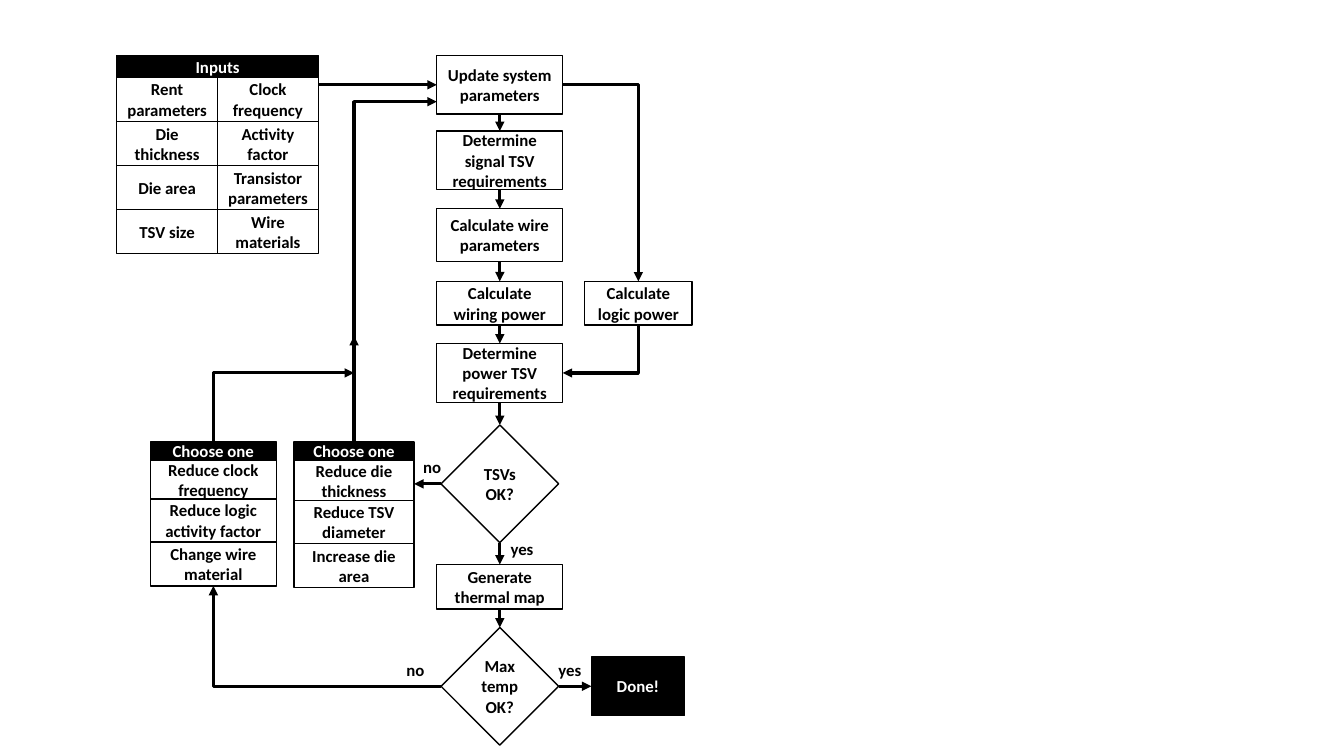
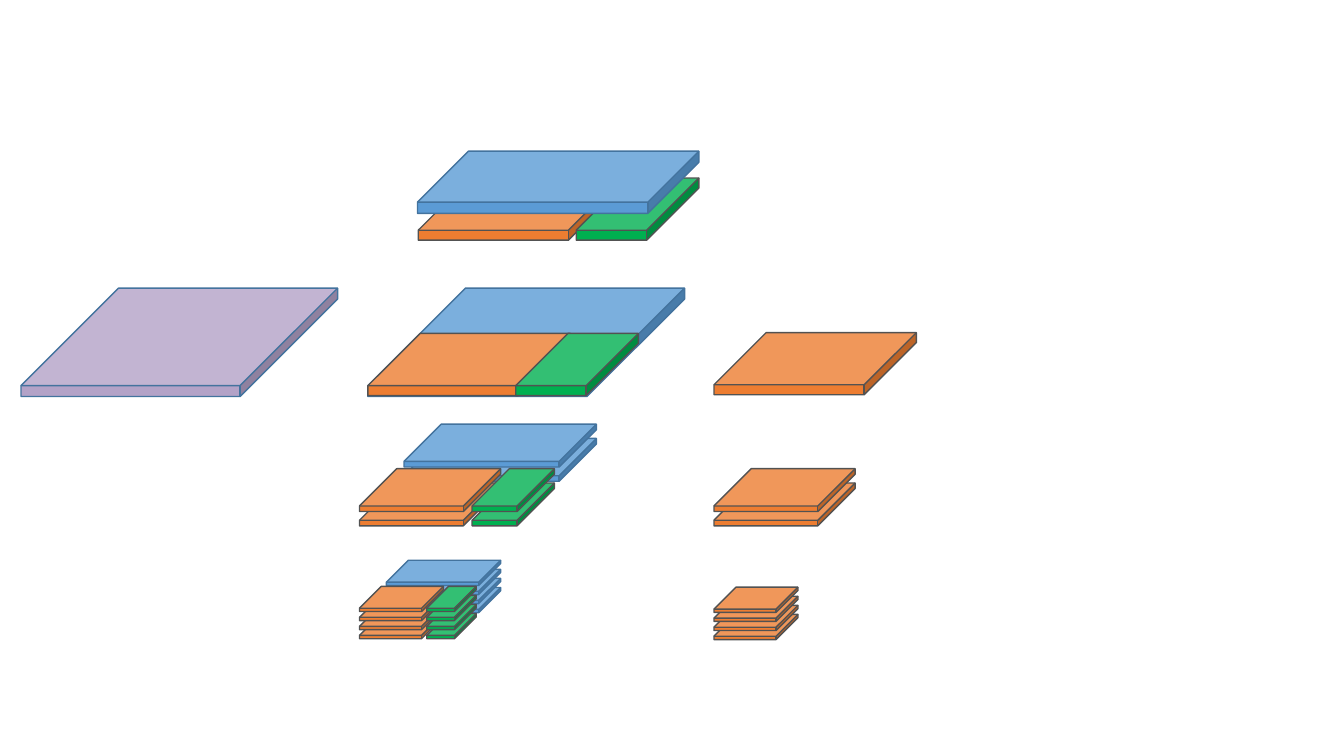
from itertools import pairwise
from lxml.etree import SubElement
from pptx import Presentation
from pptx.dml.color import RGBColor
from pptx.enum.shapes import MSO_CONNECTOR as CONN, MSO_SHAPE as SHAPE
from pptx.enum.text import MSO_ANCHOR as ANCHOR, MSO_AUTO_SIZE as FIT, PP_ALIGN as ALIGN
from pptx.oxml.ns import qn
from pptx.util import Inches, Pt

BLACK = RGBColor(0x00, 0x00, 0x00)
WHITE = RGBColor(0xFF, 0xFF, 0xFF)
PURPLE = RGBColor(0xB3, 0xA2, 0xC7)
BLUE = RGBColor(0x5B, 0x9B, 0xD5)
ORANGE = RGBColor(0xED, 0x7D, 0x31)
GREEN = RGBColor(0x00, 0xB0, 0x50)
NAVY = RGBColor(0x43, 0x73, 0x9E)
GRAY = RGBColor(0x52, 0x52, 0x52)
EDGES = {PURPLE: NAVY, BLUE: NAVY, ORANGE: GRAY, GREEN: GRAY}

prs = Presentation()
prs.slide_width, prs.slide_height = Inches(13.33), Inches(7.5)
COL, ROW = prs.slide_width / 160, prs.slide_height / 90
blank = prs.slide_layouts[6]


def add_block(s, kind, x, y, w, h, line, fill=None, text=""):
    sp = s.shapes.add_shape(kind, int(x * COL), int(y * ROW), int(w * COL), int(h * ROW))
    sp.shadow.inherit = False
    sp.line.color.rgb = line
    sp.line.width = Pt(1)
    if fill is None:
        sp.fill.background()
    else:
        sp.fill.solid()
        sp.fill.fore_color.rgb = fill
    if text:
        tf = sp.text_frame
        tf.text = text
        tf.word_wrap = True
        tf.vertical_anchor = ANCHOR.MIDDLE
        p = tf.paragraphs[0]
        p.alignment = ALIGN.CENTER
        font = p.runs[0].font
        font.name, font.size, font.bold = "Calibri", Pt(12), True
        font.color.rgb = BLACK if fill is None else WHITE
    return sp


def add_arrow(s, x1, y1, x2, y2, kind=CONN.STRAIGHT, end="tailEnd"):
    c = s.shapes.add_connector(kind, int(x1 * COL), int(y1 * ROW), int(x2 * COL), int(y2 * ROW))
    c.line.color.rgb = BLACK
    c.line.width = Pt(2.25)
    SubElement(c.line._get_or_add_ln(), qn("a:" + end), type="triangle")
    SubElement(c._element.spPr, qn("a:effectLst"))
    if kind == CONN.ELBOW:
        c._element.spPr.find(qn("a:prstGeom")).set("prst", "bentConnector2")
    return c


s = prs.slides.add_slide(blank)

steps = [
    (SHAPE.RECTANGLE, 52, 6.6, 15, 7, "Update system parameters"),
    (SHAPE.RECTANGLE, 52, 15.6, 15, 7, "Determine signal TSV requirements"),
    (SHAPE.RECTANGLE, 52, 24.85, 15, 6.3, "Calculate wire parameters"),
    (SHAPE.RECTANGLE, 52, 33.5, 15, 5.2, "Calculate wiring power"),
    (SHAPE.RECTANGLE, 52, 40.9, 15, 7, "Determine power TSV requirements"),
    (SHAPE.DIAMOND, 52.5, 50.6, 14, 14, "TSVs OK?"),
    (SHAPE.RECTANGLE, 52, 67.2, 15, 5.3, "Generate thermal map"),
    (SHAPE.DIAMOND, 52.5, 74.7, 14, 14, "Max temp OK?"),
]
flow = [add_block(s, *box, BLACK, text=text) for *box, text in steps]
update, tsv_check, temp_check = flow[0], flow[5], flow[7]
add_block(s, SHAPE.RECTANGLE, 69.6, 33.5, 12.8, 5.2, BLACK, text="Calculate logic power")
done = add_block(s, SHAPE.RECTANGLE, 70.4, 78.2, 11.1, 7, BLACK, BLACK, "Done!")

lists = [
    (13.9, 6.6, 24, 2.6, "Inputs", [
        (5.25, ["Rent parameters", "Clock frequency"]),
        (5.25, ["Die thickness", "Activity factor"]),
        (5.25, ["Die area", "Transistor parameters"]),
        (5.25, ["TSV size", "Wire materials"])]),
    (17.9, 52.6, 15, 2.2, "Choose one", [
        (4.6, ["Reduce clock frequency"]),
        (5.1, ["Reduce logic activity factor"]),
        (5.25, ["Change wire material"])]),
    (35, 52.6, 14.3, 2.2, "Choose one", [
        (4.8, ["Reduce die thickness"]),
        (5.1, ["Reduce TSV diameter"]),
        (5.25, ["Increase die area"])]),
]
headers = []
for x, y, w, h, title, rows in lists:
    headers.append(add_block(s, SHAPE.RECTANGLE, x, y, w, h, BLACK, BLACK, title))
    y += h
    for h, cells in rows:
        cell_w = w / len(cells)
        for i, text in enumerate(cells):
            add_block(s, SHAPE.RECTANGLE, x + i * cell_w, y, cell_w, h, BLACK, text=text)
        y += h

for upper, lower in pairwise(flow):
    c = add_arrow(s, 59.5, 0, 59.5, 1)
    c.begin_connect(upper, 2)
    c.end_connect(lower, 0)
add_arrow(s, 37.9, 10.1, 52, 10.1).end_connect(update, 1)
add_arrow(s, 52.5, 57.6, 49.3, 57.6).begin_connect(tsv_check, 1)
add_arrow(s, 42.15, 52.6, 42.15, 40).begin_connect(headers[2], 0)
c = add_arrow(s, 66.5, 81.7, 70.4, 81.7)
c.begin_connect(temp_check, 3)
c.end_connect(done, 1)

elbows = [
    (67, 10.1, 76, 33.5, "tailEnd"),
    (67, 44.4, 76, 38.7, "headEnd"),
    (52.5, 81.7, 25.4, 69.75, "tailEnd"),
    (52, 12.1, 42.15, 52.6, "headEnd"),
    (42.15, 44.4, 25.4, 52.6, "headEnd"),
]
for *points, end in elbows:
    add_arrow(s, *points, CONN.ELBOW, end)

for text, x, y, w in [("yes", 59.6, 63.6, 5.2), ("yes", 65.3, 78, 5.2),
                      ("no", 49.2, 53.8, 4.6), ("no", 47.2, 78, 4.6)]:
    tf = s.shapes.add_textbox(int(x * COL), int(y * ROW), int(w * COL), int(3.6 * ROW)).text_frame
    tf.text = text
    tf.word_wrap = False
    tf.auto_size = FIT.SHAPE_TO_FIT_TEXT
    font = tf.paragraphs[0].runs[0].font
    font.name, font.size, font.bold = "Calibri", Pt(12), True
    font.color.rgb = BLACK

s = prs.slides.add_slide(blank)

stacks = [
    (1, 0, 0.9, [(PURPLE, 2.5, 34.3, 37.7, 12.9), (BLUE, 43.8, 34.3, 37.7, 12.9)]),
    (1, 0, 0.84, [(ORANGE, 43.8, 39.7, 24.1, 7.4), (GREEN, 61.4, 39.7, 14.6, 7.4),
                  (ORANGE, 85, 39.6, 24.1, 7.4),
                  (ORANGE, 49.8, 21.2, 24.1, 7.4), (GREEN, 68.6, 21.2, 14.6, 7.4)]),
    (1, 0, 0.82, [(BLUE, 49.7, 18, 33.5, 7.4)]),
    (2, 1.7, 0.87, [(BLUE, 48.1, 50.5, 22.9, 5.1), (ORANGE, 42.8, 55.8, 16.8, 5.1),
                    (GREEN, 56.2, 55.8, 9.8, 5.1), (ORANGE, 85, 55.8, 16.8, 5.1)]),
    (4, 1.08, 0.87, [(BLUE, 46, 66.7, 13.6, 3), (ORANGE, 42.8, 69.8, 10, 3),
                     (GREEN, 50.8, 69.8, 5.9, 3), (ORANGE, 85, 69.9, 10, 3)]),
]
for layers, step, depth, dies in stacks:
    for layer in reversed(range(layers)):
        for fill, x, y, w, h in dies:
            sp = add_block(s, SHAPE.CUBE, x, y + layer * step, w, h, EDGES[fill], fill)
            sp.adjustments[0] = depth

prs.save("out.pptx")
